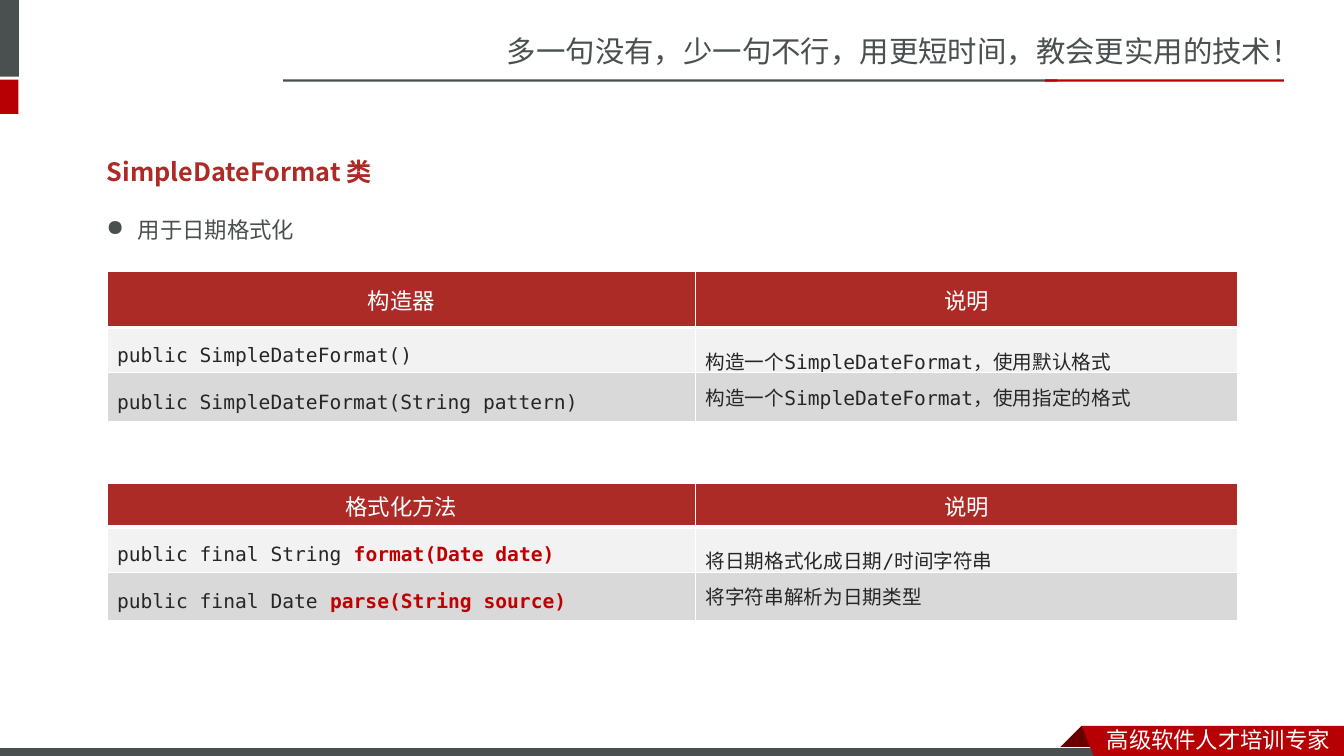
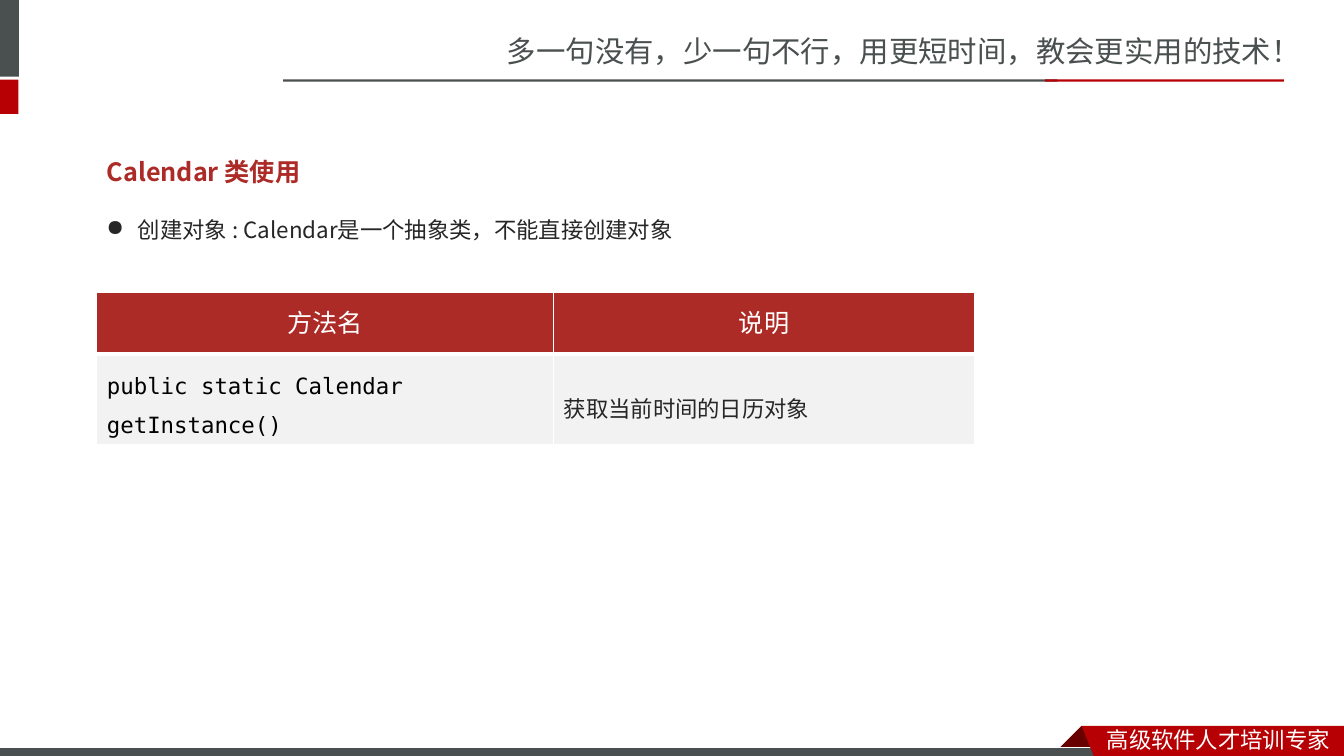
from dataclasses import dataclass
from typing import Any

import lxml.etree
import pptx
import pptx.dml.color
import pptx.enum.shapes
import pptx.enum.text
import pptx.oxml.ns
import pptx.util

Pt = pptx.util.Pt
qn = pptx.oxml.ns.qn
ALIGN = pptx.enum.text.PP_ALIGN
ANCHOR = pptx.enum.text.MSO_ANCHOR
AUTO_SIZE = pptx.enum.text.MSO_AUTO_SIZE

COLORS = {
    "slate": "49504F", "red": "B60004", "fold": "680000", "heading": "AD2B26",
    "code": "C00000", "ink": "262626", "black": "000000", "white": "FFFFFF",
    "light": "F2F2F2", "mid": "D9D9D9",
}
CJK, CJK_JP = "Noto Sans CJK SC", "Noto Sans CJK JP"
MONO, HEADER_FONT = "DejaVu Sans Mono", "Roboto"


@dataclass(frozen=True)
class Style:
    size: float
    font: str
    color: str
    bold: bool = False


@dataclass(frozen=True)
class Box:
    left: float
    top: float
    width: float
    height: float

    def lengths(self) -> tuple[int, ...]:
        return Pt(self.left), Pt(self.top), Pt(self.width), Pt(self.height)


@dataclass(frozen=True)
class Band:
    box: Box
    color: str
    outlined: bool = False


@dataclass(frozen=True)
class Outline:
    points: tuple[tuple[float, float], ...]
    color: str


@dataclass(frozen=True)
class Label:
    text: str
    box: Box
    style: Style


@dataclass(frozen=True)
class Span:
    text: str
    style: Style


@dataclass(frozen=True)
class Grid:
    left: float
    top: float
    widths: tuple[float, ...]
    heights: tuple[float, ...]
    head_style: Style
    head: tuple[str, ...]
    rows: tuple[tuple[tuple[Span, ...], ...], ...]


@dataclass(frozen=True)
class Page:
    title: str
    bullet: Span
    grids: tuple[Grid, ...]


TITLE_STYLE = Style(18, CJK_JP, "heading", True)
HEAD = Style(16, CJK_JP, "white")
CELL = Style(14, MONO, "ink")
KEY = Style(14, MONO, "code", True)
TITLE_BOX = Box(69, 86.4, 369, 45.4)
BULLET_BOX = Box(69, 131.4, 822, 41)

BANDS = (
    Band(Box(0, 0, 13.6, 54.7), "slate"),
    Band(Box(0, 56.9, 13.2, 24.5), "red"),
    Band(Box(202.3, 56.7, 553, 1.6), "slate"),
    Band(Box(746.6, 56.7, 170.5, 1.6), "red"),
)
FOLD = Outline(((772.5, 518.5), (788.5, 534.5), (756.5, 534.5)), "fold")
FOOTER = Band(Box(-0.7, 533.7, 792, 8.5), "slate", True)
RIBBON = Outline(((772.5, 518.5), (960, 518.5), (960, 540), (781.3, 540)), "red")
LABELS = (
    Label("多一句没有，少一句不行，用更短时间，教会更实用的技术！",
          Box(355, 20, 605, 34), Style(21, CJK, "slate")),
    Label("高级软件人才培训专家", Box(783.4, 515, 176.4, 26.6), Style(16, CJK, "white")),
)

WIDE = (420.5, 387.4)
PAGES = (
    Page("SimpleDateFormat 类", Span("用于日期格式化", Style(16, CJK_JP, "slate")), (
        Grid(76.4, 193.6, WIDE, (40.3, 25.2, 34.5), HEAD, ("构造器", "说明"), (
            ((Span("public SimpleDateFormat()", CELL),),
             (Span("构造一个SimpleDateFormat，使用默认格式", CELL),)),
            ((Span("public SimpleDateFormat(String pattern)", CELL),),
             (Span("构造一个SimpleDateFormat，使用指定的格式", CELL),)),
        )),
        Grid(76.4, 345, WIDE, (31, 25.2, 34.5), HEAD, ("格式化方法", "说明"), (
            ((Span("public final String ", CELL), Span("format(Date date)", KEY)),
             (Span("将日期格式化成日期/时间字符串", CELL),)),
            ((Span("public final Date ", CELL), Span("parse(String source)", KEY)),
             (Span("将字符串解析为日期类型", CELL),)),
        )),
    )),
    Page("Calendar 类使用",
         Span("创建对象 : Calendar是一个抽象类，不能直接创建对象", Style(16, CJK_JP, "ink")), (
             Grid(69.2, 208.6, (326.3, 300.5), (44.4, 48.2),
                  Style(18, HEADER_FONT, "white"), ("方法名", "说明"), (
                 ((Span("public static Calendar getInstance()", Style(16, MONO, "black")),),
                  (Span("获取当前时间的日历对象", Style(16, CJK, "ink")),)),
             )),
         )),
)


def rgb(name: str) -> pptx.dml.color.RGBColor:
    return pptx.dml.color.RGBColor.from_string(COLORS[name])


def set_attrs(obj: Any, values: dict[str, Any]) -> None:
    for name, value in values.items():
        setattr(obj, name, value)


def add_run(p: Any, text: str, style: Style) -> None:
    """Add a run whose East Asian font matches its style."""
    r = p.add_run()
    r.text = text
    set_attrs(r.font, {"size": Pt(style.size), "name": style.font, "bold": style.bold})
    r.font.color.rgb = rgb(style.color)
    east_asian = CJK if style.font in (MONO, HEADER_FONT) else style.font
    lxml.etree.SubElement(r._r.get_or_add_rPr(), qn("a:ea"), typeface=east_asian)


def paint(sp: Any, color: str, outlined: bool = False) -> None:
    sp.shadow.inherit = False
    sp.fill.solid()
    sp.fill.fore_color.rgb = rgb(color)
    if outlined:
        sp.line.color.rgb = rgb("white")
        sp.line.width = Pt(0.75)
    else:
        sp.line.fill.background()


def add_band(s: Any, band: Band) -> None:
    sp = s.shapes.add_shape(pptx.enum.shapes.MSO_SHAPE.RECTANGLE, *band.box.lengths())
    paint(sp, band.color, band.outlined)


def add_outline(s: Any, outline: Outline) -> None:
    start, *rest = [(Pt(x), Pt(y)) for x, y in outline.points]
    builder = s.shapes.build_freeform(*start)
    builder.add_line_segments(rest, close=True)
    paint(builder.convert_to_shape(), outline.color)


def add_label(s: Any, label: Label) -> None:
    tf = s.shapes.add_textbox(*label.box.lengths()).text_frame
    tf.word_wrap = False
    add_run(tf.paragraphs[0], label.text, label.style)


def furnish_layout(layout: Any, s: Any) -> None:
    """Draw the shared furniture on a slide, then move it to the layout."""
    title_type = pptx.enum.shapes.PP_PLACEHOLDER.TITLE
    for ph in list(layout.placeholders):
        if ph.placeholder_format.type != title_type:
            layout.shapes.element.remove(ph.element)
    for band in BANDS:
        add_band(s, band)
    add_outline(s, FOLD)
    add_band(s, FOOTER)
    add_outline(s, RIBBON)
    for label in LABELS:
        add_label(s, label)
    for sp in list(s.shapes):
        if not sp.is_placeholder:
            layout.shapes.element.append(sp.element)


def set_title(s: Any, text: str) -> None:
    sp = s.shapes.title
    set_attrs(sp, dict(zip(("left", "top", "width", "height"), TITLE_BOX.lengths())))
    tf = sp.text_frame
    set_attrs(tf, {"word_wrap": True, "vertical_anchor": ANCHOR.TOP,
                   "auto_size": AUTO_SIZE.SHAPE_TO_FIT_TEXT})
    p = tf.paragraphs[0]
    set_attrs(p, {"alignment": ALIGN.LEFT, "line_spacing": 2.0})
    add_run(p, text, TITLE_STYLE)


def add_bullet(s: Any, span: Span) -> None:
    tf = s.shapes.add_textbox(*BULLET_BOX.lengths()).text_frame
    set_attrs(tf, {"word_wrap": True, "auto_size": AUTO_SIZE.SHAPE_TO_FIT_TEXT})
    p = tf.paragraphs[0]
    p.line_spacing = 2.0
    pPr = p._p.get_or_add_pPr()
    pPr.set("marL", str(Pt(22.5)))
    pPr.set("indent", str(-Pt(22.5)))
    lxml.etree.SubElement(pPr, qn("a:buChar"), char="●")
    add_run(p, span.text, span.style)


def format_cell(cell: Any, row: int) -> None:
    """Set white borders, heavy under the header, and the row's fill."""
    tcPr = cell._tc.get_or_add_tcPr()
    widths = {"L": 1, "R": 1, "T": 3 if row == 1 else 1, "B": 3 if row == 0 else 1}
    for side, width in widths.items():
        ln = lxml.etree.SubElement(tcPr, qn(f"a:ln{side}"), w=str(Pt(width)))
        fill = lxml.etree.SubElement(ln, qn("a:solidFill"))
        lxml.etree.SubElement(fill, qn("a:srgbClr"), val=COLORS["white"])
    cell.vertical_anchor = ANCHOR.MIDDLE
    cell.fill.solid()
    cell.fill.fore_color.rgb = rgb(("heading", "light", "mid")[row])


def add_grid(s: Any, grid: Grid) -> None:
    box = Box(grid.left, grid.top, sum(grid.widths), sum(grid.heights))
    head = tuple((Span(text, grid.head_style),) for text in grid.head)
    rows = (head, *grid.rows)
    table = s.shapes.add_table(len(rows), len(grid.widths), *box.lengths()).table
    for column, width in zip(table.columns, grid.widths):
        column.width = Pt(width)
    for i, (height, spans_by_cell) in enumerate(zip(grid.heights, rows)):
        table.rows[i].height = Pt(height)
        for j, spans in enumerate(spans_by_cell):
            cell = table.cell(i, j)
            format_cell(cell, i)
            p = cell.text_frame.paragraphs[0]
            if i == 0:
                set_attrs(p, {"alignment": ALIGN.CENTER, "line_spacing": Pt(24)})
            elif (i, j) != (2, 1):
                p.line_spacing = 1.5
            for span in spans:
                add_run(p, span.text, span.style)


def main() -> None:
    prs = pptx.Presentation()
    set_attrs(prs, {"slide_width": Pt(960), "slide_height": Pt(540)})
    layout = prs.slide_layouts.get_by_name("Title Only")
    for i, page in enumerate(PAGES):
        s = prs.slides.add_slide(layout)
        if i == 0:
            furnish_layout(layout, s)
        set_title(s, page.title)
        add_bullet(s, page.bullet)
        for grid in page.grids:
            add_grid(s, grid)
    prs.save("out.pptx")


if __name__ == "__main__":
    main()
